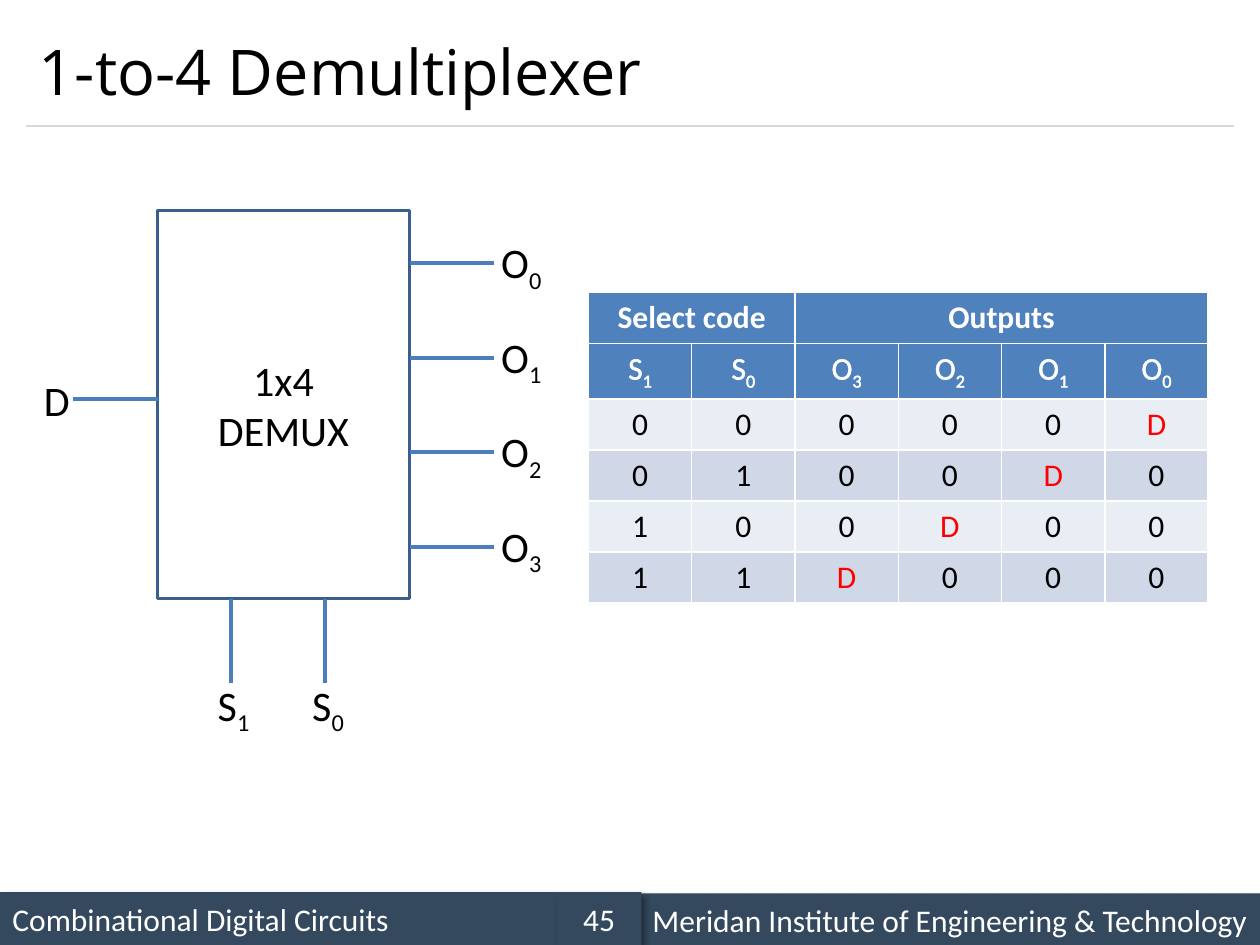
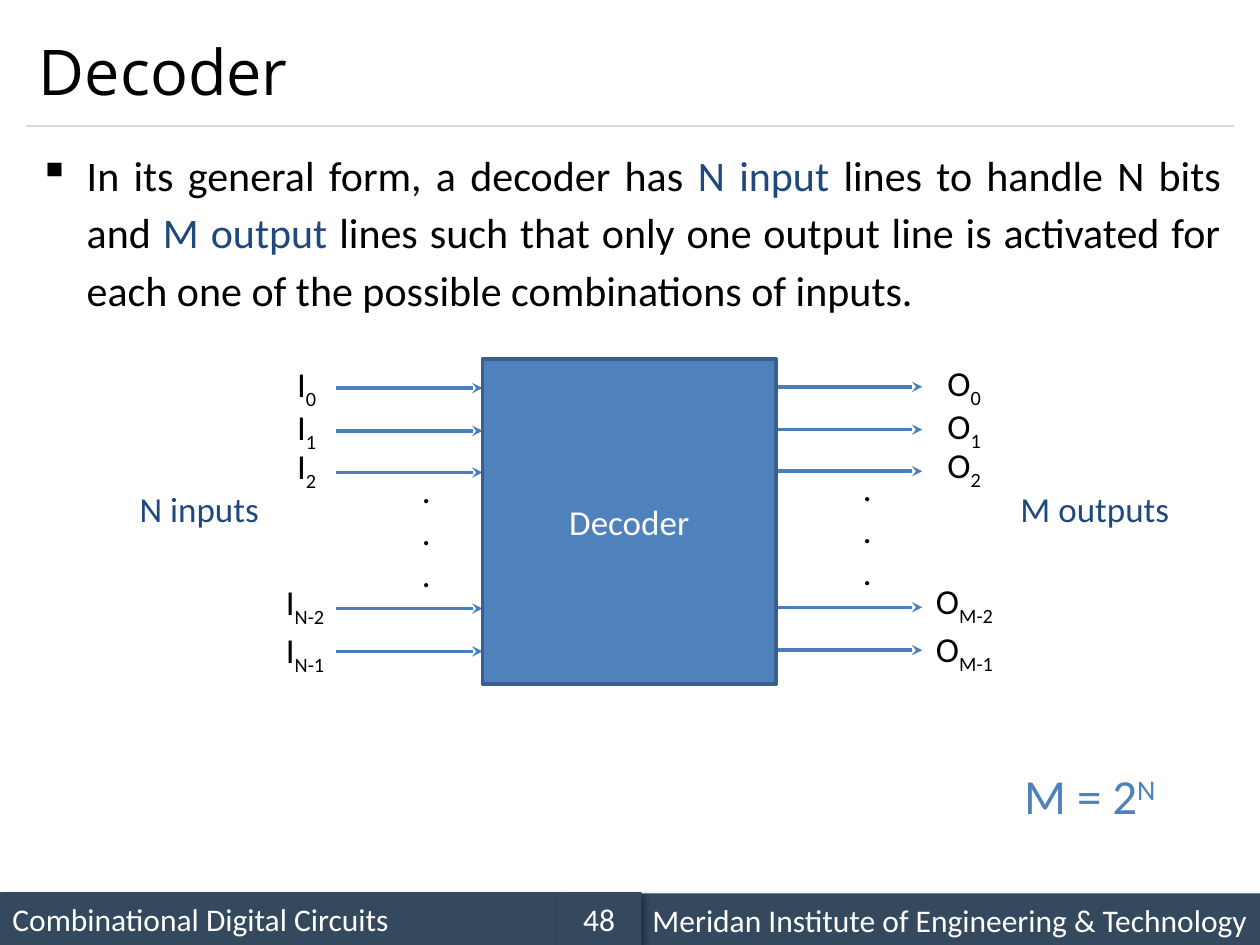
from lxml.etree import SubElement as Sub
from pptx import Presentation
from pptx.dml.color import RGBColor as Rgb
from pptx.enum.shapes import MSO_CONNECTOR as Conn, MSO_SHAPE as Kind
from pptx.enum.text import MSO_ANCHOR as Anchor, MSO_AUTO_SIZE as Auto, PP_ALIGN as Align
from pptx.oxml.ns import qn
from pptx.util import Inches, Pt

HUES = {
    "ink": "000000", "white": "FFFFFF", "band": "34495E", "rule": "D9D9D9",
    "blue": "4F81BD", "edge": "3A5F8C", "wire": "4B7EBC", "navy": "1F497D",
    "red": "FF0000", "pale": "E9EDF4", "tint": "D0D8E8",
}
FORMATS = {
    "title": {"name": "Open Sans", "size": Pt(36)},
    "body": {"name": "Calibri", "size": Pt(24)},
    "label": {"name": "Calibri", "size": Pt(20)},
    "cell": {"name": "Calibri", "size": Pt(18)},
    "head": {"name": "Calibri", "size": Pt(18), "bold": True},
    "thin": {"name": "Calibri", "size": Pt(18), "bold": False},
    "sum": {"name": "Calibri", "size": Pt(28)},
}
SHIFTS = {"_": "-25000", "^": "30000"}


def hue(name):
    return Rgb.from_string(HUES[name])


# Text: "_" starts a subscript, "^" a superscript
def add_run(par, text, style, color, shift=None, rim=False):
    run = par.add_run()
    run.text = text
    for key, value in FORMATS[style].items():
        setattr(run.font, key, value)
    run.font.color.rgb = hue(color)
    props = run.font._element
    if shift:
        props.set("baseline", shift)
    if rim:
        line = Sub(props, qn("a:ln"), w=str(Pt(0.75)))
        fill = Sub(line, qn("a:solidFill"))
        Sub(fill, qn("a:srgbClr"), val=HUES[color])
        props.insert(0, line)


def write(par, text, style, color="ink", align=None, rim=False):
    par.alignment = align
    mark = next((m for m in SHIFTS if m in text), None)
    base, _, small = text.partition(mark) if mark else (text, "", "")
    add_run(par, base, style, color, rim=rim)
    if small:
        add_run(par, small, style, color, SHIFTS[mark], rim)


def add_text(slide, box, lines, style, color="ink", wrap=False, grow=True):
    frame = slide.shapes.add_textbox(*map(Inches, box)).text_frame
    frame.word_wrap = wrap
    frame.auto_size = Auto.SHAPE_TO_FIT_TEXT if grow else Auto.NONE
    for i, line in enumerate(lines):
        par = frame.add_paragraph() if i else frame.paragraphs[0]
        write(par, line, style, color)
    return frame


def add_block(slide, box, text, style, color, fill=None, edge=None,
              align=Align.CENTER, side=0.1):
    shape = slide.shapes.add_shape(Kind.RECTANGLE, *map(Inches, box))
    shape.shadow.inherit = False
    if fill:
        shape.fill.solid()
        shape.fill.fore_color.rgb = hue(fill)
    else:
        shape.fill.background()
    if edge:
        shape.line.color.rgb = hue(edge)
        shape.line.width = Pt(2)
    else:
        shape.line.fill.background()
    frame = shape.text_frame
    frame.word_wrap = True
    frame.vertical_anchor = Anchor.MIDDLE
    frame.margin_left = frame.margin_right = Inches(side)
    write(frame.paragraphs[0], text, style, color, align)
    return shape


def add_line(slide, start, end, color="wire", width=2.25, arrow=False):
    line = slide.shapes.add_connector(Conn.STRAIGHT, *map(Inches, start + end))
    line.line.color.rgb = hue(color)
    line.line.width = Pt(width)
    props = line._element.spPr
    if arrow:
        Sub(props.find(qn("a:ln")), qn("a:tailEnd"), type="stealth")
    Sub(props, qn("a:effectLst"))


# Shared frame: footer bands, rule and title
def add_band(slide, box, text, align):
    band = add_block(slide, box, text, "cell", "white", "band", align=align)
    effects = band._element.spPr.find(qn("a:effectLst"))
    shade = Sub(effects, qn("a:outerShdw"), blurRad=str(Pt(4)), dist=str(Pt(3)),
                dir="2700000", algn="tl", rotWithShape="0")
    tone = Sub(shade, qn("a:srgbClr"), val=HUES["ink"])
    Sub(tone, qn("a:alpha"), val="40000")


def add_frame(deck, title, number):
    slide = deck.slides.add_slide(deck.slide_layouts[6])
    add_band(slide, (0, 7.08, 4.42, 0.42), "Combinational Digital Circuits", Align.LEFT)
    add_line(slide, (0.21, 1), (9.79, 1), "rule", 0.75)
    add_band(slide, (5.08, 7.09, 4.92, 0.42),
             "Meridan Institute of Engineering & Technology", Align.LEFT)
    add_band(slide, (4.42, 7.08, 0.67, 0.42), number, Align.CENTER)
    frame = add_text(slide, (0.21, 0.12, 9.58, 0.88), [title], "title",
                     wrap=True, grow=False)
    frame.vertical_anchor = Anchor.MIDDLE
    return slide


# Demultiplexer block with its data, output and select wires
def add_demux(slide, box):
    left, top, width, height = box
    right, base = left + width, top + height
    reach, step = 0.67, 0.75
    add_block(slide, box, "1x4 DEMUX", "body", "ink", edge="edge", side=0.47)
    add_line(slide, (left - reach, top + 1.5), (left, top + 1.5))
    add_text(slide, (left - 1, top + 1.25, 0.33, 0.5), ["D"], "body", wrap=True)
    for i in range(4):
        y = top + 0.42 + i * step
        add_line(slide, (right, y), (right + reach, y))
        add_text(slide, (right + 0.63, y - 0.26, 0.53, 0.5), [f"O_{i}"], "body", wrap=True)
    for i, name in enumerate(("S_1", "S_0")):
        x = left + 0.58 + i * step
        add_line(slide, (x, base), (x, base + reach))
        add_text(slide, (x - 0.2, base + 0.59, 0.53, 0.5), [name], "body", wrap=True)


# Truth table
def fill_cell(cell, text, style, color, fill, rim=False):
    cell.fill.solid()
    cell.fill.fore_color.rgb = hue(fill)
    write(cell.text_frame.paragraphs[0], text, style, color, Align.CENTER, rim)


def add_truth(slide, box):
    names = ("S_1", "S_0", "O_3", "O_2", "O_1", "O_0")
    codes = ("00000D", "0100D0", "100D00", "11D000")
    table = slide.shapes.add_table(6, 6, *map(Inches, box)).table
    for row in table.rows:
        row.height = Inches(box[3] / 6)
    for first, last, text in ((0, 1, "Select code"), (2, 5, "Outputs")):
        cell = table.cell(0, first)
        cell.merge(table.cell(0, last))
        fill_cell(cell, text, "head", "white", "blue")
    for col, name in enumerate(names):
        fill_cell(table.cell(1, col), name, "thin", "white", "blue", True)
    for row, code in enumerate(codes):
        for col, bit in enumerate(code):
            data = bit == "D"
            fill_cell(table.cell(row + 2, col), bit, "thin", "red" if data else "ink",
                      "tint" if row % 2 else "pale", data)


# Bulleted statement
def add_point(slide, box, parts):
    frame = slide.shapes.add_textbox(*map(Inches, box)).text_frame
    frame.word_wrap = True
    par = frame.paragraphs[0]
    for key, value in {"alignment": Align.JUSTIFY, "line_spacing": 1.14,
                       "space_before": Pt(4.8)}.items():
        setattr(par, key, value)
    props = par._p.get_or_add_pPr()
    props.set("marL", str(Inches(0.38)))
    props.set("indent", str(-Inches(0.38)))
    Sub(props, qn("a:buChar"), char="▪")
    for text, color in parts:
        add_run(par, text, "body", color)


# Decoder block with its input and output arrows
def add_ports(slide, top, letter, last, start, end, x, sizes):
    rows = (("0", 0.23, -0.02), ("1", 0.57, 0.32), ("2", 0.9, 0.63),
            (f"{last}-2", 1.98, 1.71), (f"{last}-1", 2.32, 2.09))
    for mark, wire, label in rows:
        wide = len(mark) > 1
        add_line(slide, (start, top + wire), (end, top + wire), width=2, arrow=True)
        add_text(slide, (x - 0.09 * wide, top + label, sizes[wide], 0.44),
                 [f"{letter}_{mark}"], "label")


def add_coder(slide, box):
    left, top, width, _ = box
    right, reach = left + width, 1.16
    add_ports(slide, top, "I", "N", left - reach, left, left - 1.57, (0.37, 0.55))
    add_ports(slide, top - 0.01, "O", "M", right, right + reach, right + 1.26, (0.48, 0.7))
    for x, y in ((left - 0.58, top + 0.82), (right + 0.59, top + 0.8)):
        add_text(slide, (x, y, 0.27, 1.11), [".", ".", "."], "label")
    for x, span, text in ((left - 2.82, 1.16, "N inputs"), (right + 1.84, 1.39, "M outputs")):
        add_text(slide, (x, top + 0.97, span, 0.44), [text], "label", "navy")
    add_block(slide, box, "Decoder", "label", "white", "blue", "edge")


def main():
    deck = Presentation()
    deck.slide_width, deck.slide_height = Inches(10), Inches(7.5)

    slide = add_frame(deck, "1-to-4 Demultiplexer", "45")
    add_demux(slide, (1.25, 1.67, 2, 3.08))
    add_truth(slide, (4.67, 2.32, 4.92, 2.43))

    slide = add_frame(deck, "Decoder", "48")
    add_point(slide, (0.21, 1.08, 9.58, 1.67), (
        ("In its general form, a decoder has ", "ink"),
        ("N input ", "navy"),
        ("lines to handle N bits and ", "ink"),
        ("M output ", "navy"),
        ("lines such that only one output line is activated for each one "
         "of the possible combinations of inputs.", "ink"),
    ))
    add_coder(slide, (3.83, 2.85, 2.33, 2.58))
    add_text(slide, (8.03, 6.03, 1.36, 0.57), ["M = 2^N"], "sum", "blue", wrap=True)

    deck.save("out.pptx")


if __name__ == "__main__":
    main()
